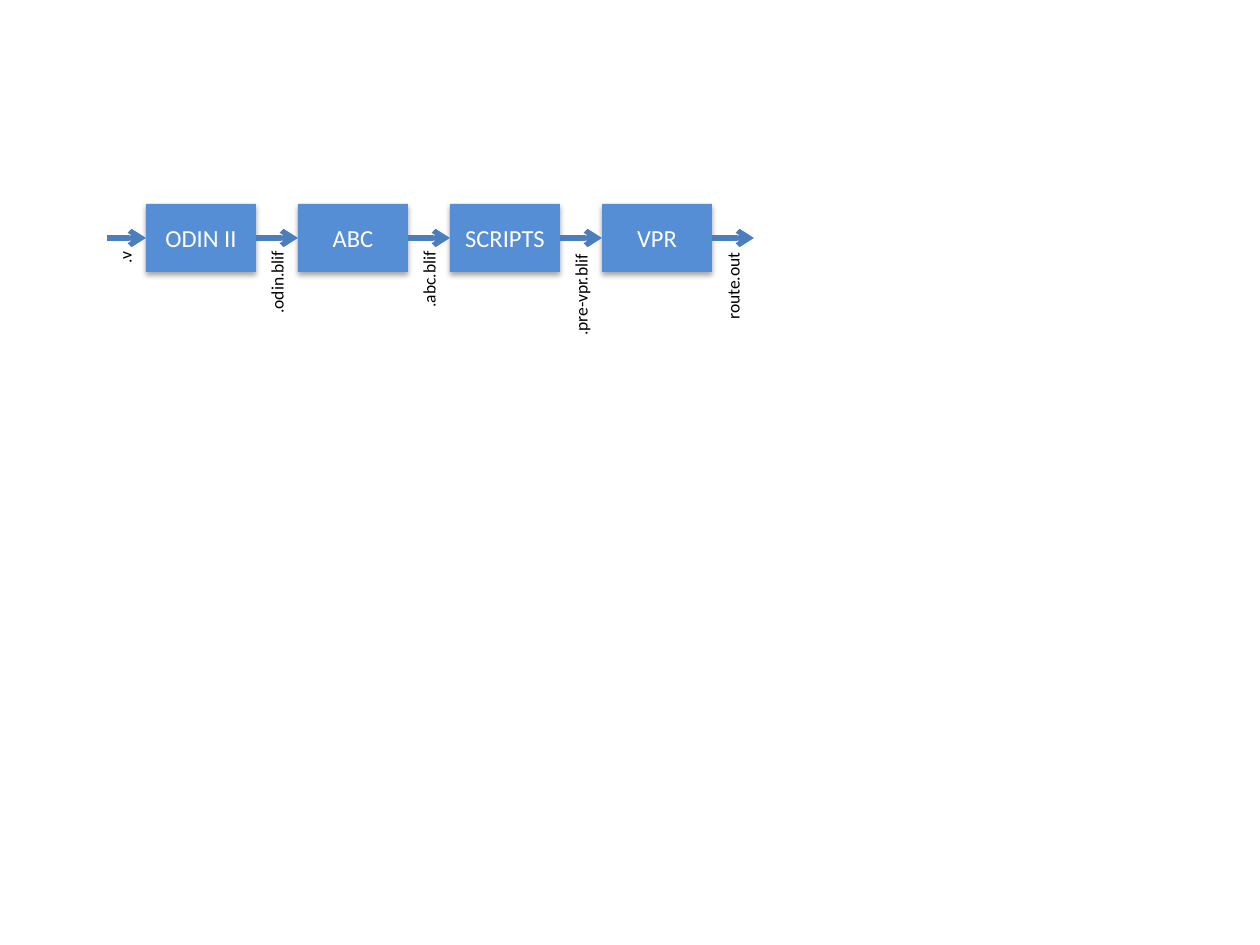
"""Build a slide with the tool flow from a .v file to route.out."""
from lxml.etree import SubElement
from pptx import Presentation
from pptx.dml.color import RGBColor
from pptx.enum.shapes import MSO_CONNECTOR as Link, MSO_SHAPE as Preset
from pptx.enum.text import MSO_ANCHOR as Anchor, MSO_AUTO_SIZE as AutoSize, PP_ALIGN as Align
from pptx.oxml.ns import qn
from pptx.util import Pt

PX = 914400 / 126
STAGES = ["ODIN II", "ABC", "SCRIPTS", "VPR"]
FILES = [(".v", 38), (".odin.blif", 88), (".abc.blif", 82), (".pre-vpr.blif", 110), ("route.out", 94)]
PITCH, STAGE_LEFT, STAGE_TOP, STAGE_WIDTH, STAGE_HEIGHT = 152, 146, 204, 110, 68
FLOW_Y = STAGE_TOP + STAGE_HEIGHT // 2
FLOW_START, FLOW_END = 107, 754
FILE_CENTER, FILE_HEIGHT = 125, 34


def emu(*lengths):
    return [round(length * PX) for length in lengths]


def write(frame, words, size, color):
    paragraph = frame.paragraphs[0]
    run = paragraph.add_run()
    run.text = words
    for key, value in {"name": "Calibri", "size": Pt(size)}.items():
        setattr(run.font, key, value)
    run.font.color.rgb = RGBColor.from_string(color)
    return paragraph


deck = Presentation()
deck.slide_width, deck.slide_height = emu(1260, 945)
shapes = deck.slides.add_slide(deck.slide_layouts[6]).shapes

for step, (file_name, length) in enumerate(FILES):
    left = FILE_CENTER + step * PITCH - length / 2
    top = FLOW_Y + (length - FILE_HEIGHT) / 2
    file_label = shapes.add_textbox(*emu(left, top, length, FILE_HEIGHT))
    file_label.rotation = 270
    for key, value in {"word_wrap": False, "auto_size": AutoSize.SHAPE_TO_FIT_TEXT}.items():
        setattr(file_label.text_frame, key, value)
    write(file_label.text_frame, file_name, 10, "000000")

stages = []
for step, stage_name in enumerate(STAGES):
    stage = shapes.add_shape(
        Preset.RECTANGLE, *emu(STAGE_LEFT + step * PITCH, STAGE_TOP, STAGE_WIDTH, STAGE_HEIGHT))
    stage.fill.solid()
    stage.fill.fore_color.rgb = RGBColor.from_string("558ED5")
    stage.line.fill.background()
    stage.shadow.inherit = False
    effects = stage._element.spPr.find(qn("a:effectLst"))
    shadow = SubElement(effects, qn("a:outerShdw"), blurRad="40000", dist="23000",
                        dir="5400000", rotWithShape="0")
    shade = SubElement(shadow, qn("a:srgbClr"), val="000000")
    SubElement(shade, qn("a:alpha"), val="35000")
    stage.text_frame.vertical_anchor = Anchor.MIDDLE
    write(stage.text_frame, stage_name, 14, "FFFFFF").alignment = Align.CENTER
    stages.append(stage)

for source, target in zip([None, *stages], [*stages, None]):
    arrow = shapes.add_connector(Link.STRAIGHT, *emu(FLOW_START, FLOW_Y, FLOW_END, FLOW_Y))
    if source:
        arrow.begin_connect(source, 3)
    if target:
        arrow.end_connect(target, 1)
    arrow.line.color.rgb = RGBColor.from_string("4B7EBC")
    arrow.line.width = Pt(3)
    SubElement(arrow.line._get_or_add_ln(), qn("a:tailEnd"), type="arrow")
    SubElement(arrow._element.spPr, qn("a:effectLst"))

deck.save("out.pptx")
